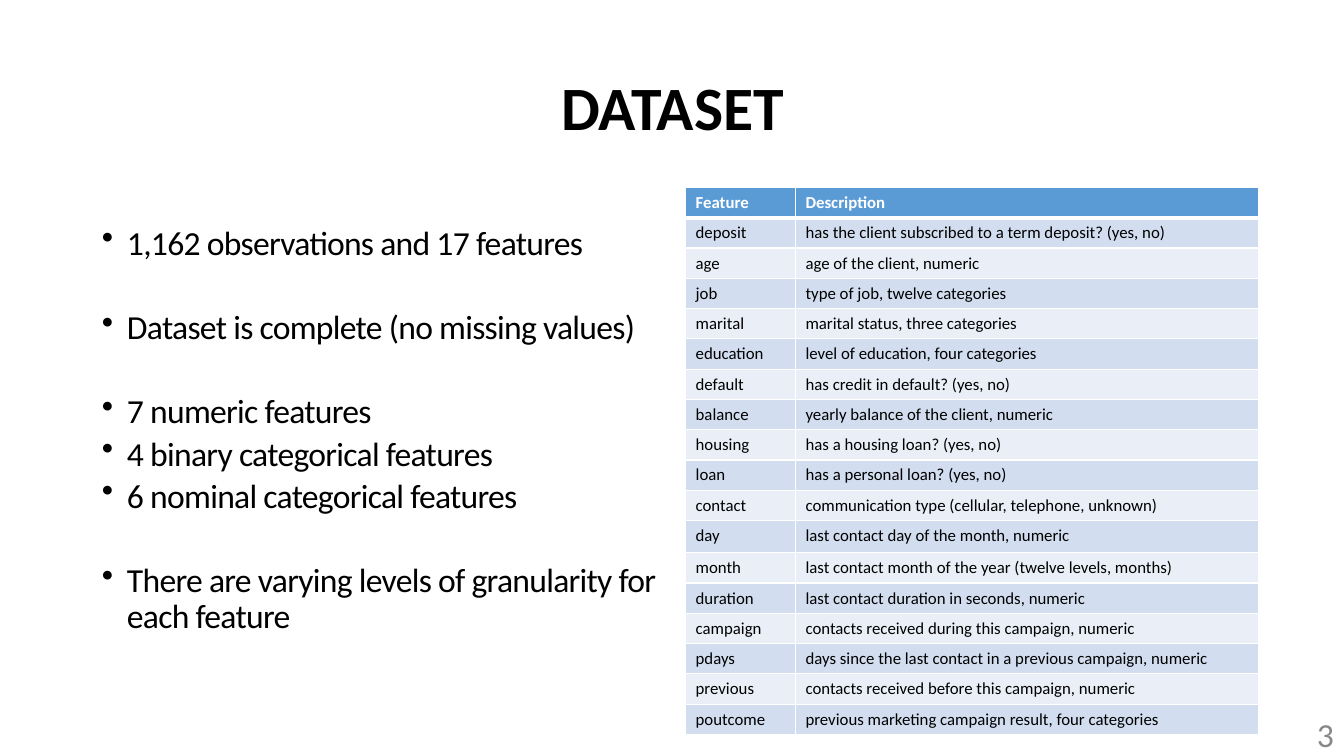
import pptx
import pptx.util
import pptx.dml.color
import pptx.enum.text
import pptx.oxml
import pptx.oxml.ns
from pptx.util import Inches

FONT = "Calibri"
BLACK, WHITE, GREY = "000000", "FFFFFF", "888888"
HEADER_FILL, BANDS = "5B9BD5", ("D2DEEF", "EAEFF7")

LINE, SPACE = 25.9, 4.2
GAP = LINE + 2 * SPACE  # one open line between groups

BULLET_GROUPS = [
    ["1,162 observations and 17 features"],
    ["Dataset is complete (no missing values)"],
    ["7 numeric features", "4 binary categorical features", "6 nominal categorical features"],
    ["There are varying levels of granularity for each feature"],
]

FEATURES = [
    ("Feature", "Description"),
    ("deposit", "has the client subscribed to a term deposit? (yes, no)"),
    ("age", "age of the client, numeric"),
    ("job", "type of job, twelve categories"),
    ("marital", "marital status, three categories"),
    ("education", "level of education, four categories"),
    ("default", "has credit in default? (yes, no)"),
    ("balance", "yearly balance of the client, numeric"),
    ("housing", "has a housing loan? (yes, no)"),
    ("loan", "has a personal loan? (yes, no)"),
    ("contact", "communication type (cellular, telephone, unknown)"),
    ("day", "last contact day of the month, numeric"),
    ("month", "last contact month of the year (twelve levels, months)"),
    ("duration", "last contact duration in seconds, numeric"),
    ("campaign", "contacts received during this campaign, numeric"),
    ("pdays", "days since the last contact in a previous campaign, numeric"),
    ("previous", "contacts received before this campaign, numeric"),
    ("poutcome", "previous marketing campaign result, four categories"),
]
ROW_HEIGHT, TALL_ROWS = 0.24, {"day": 0.32, "previous": 0.26}


def rgb(color):
    return pptx.dml.color.RGBColor.from_string(color)


def set_font(p, size, color, bold=False):
    p.font.name = FONT
    p.font.size = pptx.util.Pt(size)
    p.font.bold = bold
    p.font.color.rgb = rgb(color)


def add_frame(slide, left, top, width, height, inset_top=0):
    sp = slide.shapes.add_textbox(Inches(left), Inches(top), Inches(width), Inches(height))
    tf = sp.text_frame
    tf.word_wrap = True
    tf.auto_size = pptx.enum.text.MSO_AUTO_SIZE.SHAPE_TO_FIT_TEXT
    tf.margin_left = tf.margin_right = tf.margin_bottom = 0
    tf.margin_top = Inches(inset_top)
    return tf


def add_line(slide, text, box, size, color, bold=False, align=None, inset_top=0):
    p = add_frame(slide, *box, inset_top).paragraphs[0]
    p.text = text
    p.alignment = align
    set_font(p, size, color, bold)
    return p


def set_bullet(p):
    pPr = p._p.get_or_add_pPr()
    pPr.set("marL", str(Inches(0.26)))
    pPr.set("indent", str(Inches(-0.25)))
    bullet = pptx.oxml.parse_xml(f'<a:buChar {pptx.oxml.ns.nsdecls("a")} char="•"/>')
    pPr.find(pptx.oxml.ns.qn("a:defRPr")).addprevious(bullet)


def add_bullets(slide, groups, box):
    tf = add_frame(slide, *box, inset_top=0.06)
    p = tf.paragraphs[0]
    for g, group in enumerate(groups):
        for i, text in enumerate(group):
            if g or i:
                p = tf.add_paragraph()
            r = p.add_run()
            r.text = text
            r._r.get_or_add_rPr().set("spc", "-50")
            set_font(p, 24, BLACK)
            p.line_spacing = pptx.util.Pt(LINE)
            p.space_before = pptx.util.Pt(GAP if g and i == 0 else SPACE)
            set_bullet(p)


def set_borders(cell, top, bottom):
    tcPr = cell._tc.get_or_add_tcPr()
    for side, width in (("L", 1), ("R", 1), ("T", top), ("B", bottom)):
        tcPr.append(pptx.oxml.parse_xml(
            f'<a:ln{side} {pptx.oxml.ns.nsdecls("a")} w="{pptx.util.Pt(width)}">'
            f'<a:solidFill><a:srgbClr val="{WHITE}"/></a:solidFill></a:ln{side}>'))


def add_feature_table(slide, rows, left, top, col_widths):
    heights = [TALL_ROWS.get(name, ROW_HEIGHT) for name, _ in rows]
    table = slide.shapes.add_table(len(rows), len(col_widths), Inches(left), Inches(top),
                                   Inches(sum(col_widths)), Inches(sum(heights))).table
    for c, width in enumerate(col_widths):
        table.columns[c].width = Inches(width)
    for n, row in enumerate(rows):
        table.rows[n].height = Inches(heights[n])
        header = n == 0
        for c, text in enumerate(row):
            cell = table.cell(n, c)
            cell.text = text
            set_font(cell.text_frame.paragraphs[0], 12, WHITE if header else BLACK, header)
            set_borders(cell, top=3 if n == 1 else 1, bottom=3 if header else 1)
            cell.fill.solid()
            cell.fill.fore_color.rgb = rgb(HEADER_FILL if header else BANDS[(n - 1) % 2])


def main():
    prs = pptx.Presentation()
    prs.slide_width, prs.slide_height = Inches(13.33), Inches(7.5)
    slide = prs.slides.add_slide(prs.slide_layouts[6])

    # Findings on the left, feature list on the right
    add_bullets(slide, BULLET_GROUPS, (1, 2.18, 6.03, 4.15))
    add_feature_table(slide, FEATURES, 6.8, 1.86, (1.09, 4.59))

    # Page number
    number = add_line(slide, "3", (13.02, 7.15, 0.25, 0.36), 24, GREY)
    number.line_spacing = pptx.util.Pt(23.8)
    number._p.get_or_add_pPr().set("marL", str(Inches(0.04)))

    # Title
    title = add_line(slide, "DATASET", (0, 0.67, 13.33, 0.76), 44, BLACK, bold=True,
                     align=pptx.enum.text.PP_ALIGN.CENTER, inset_top=0.01)
    title.space_before = pptx.util.Pt(1.1)
    title._p.get_or_add_pPr().set("marL", str(Inches(0.01)))

    prs.save("out.pptx")


if __name__ == "__main__":
    main()
